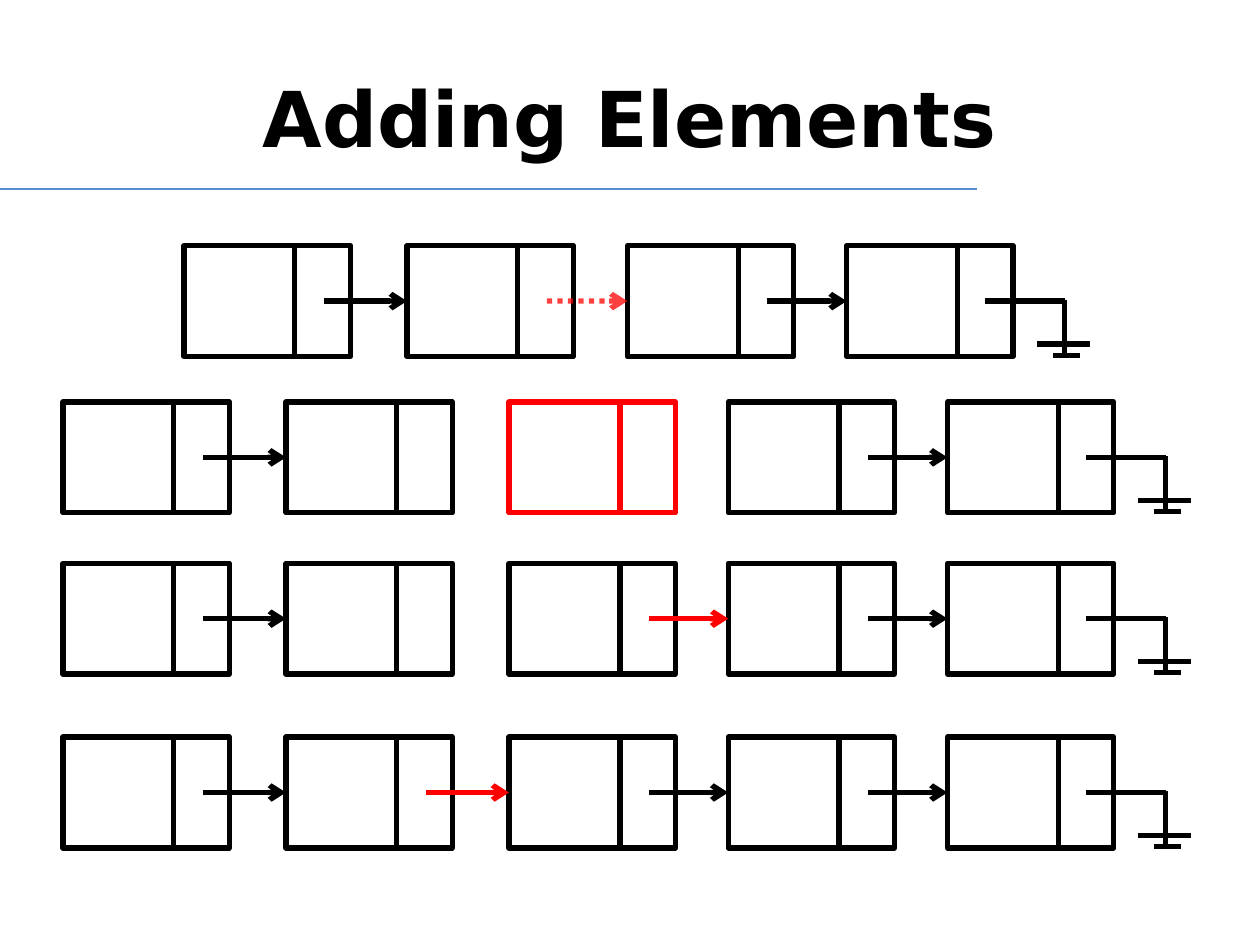
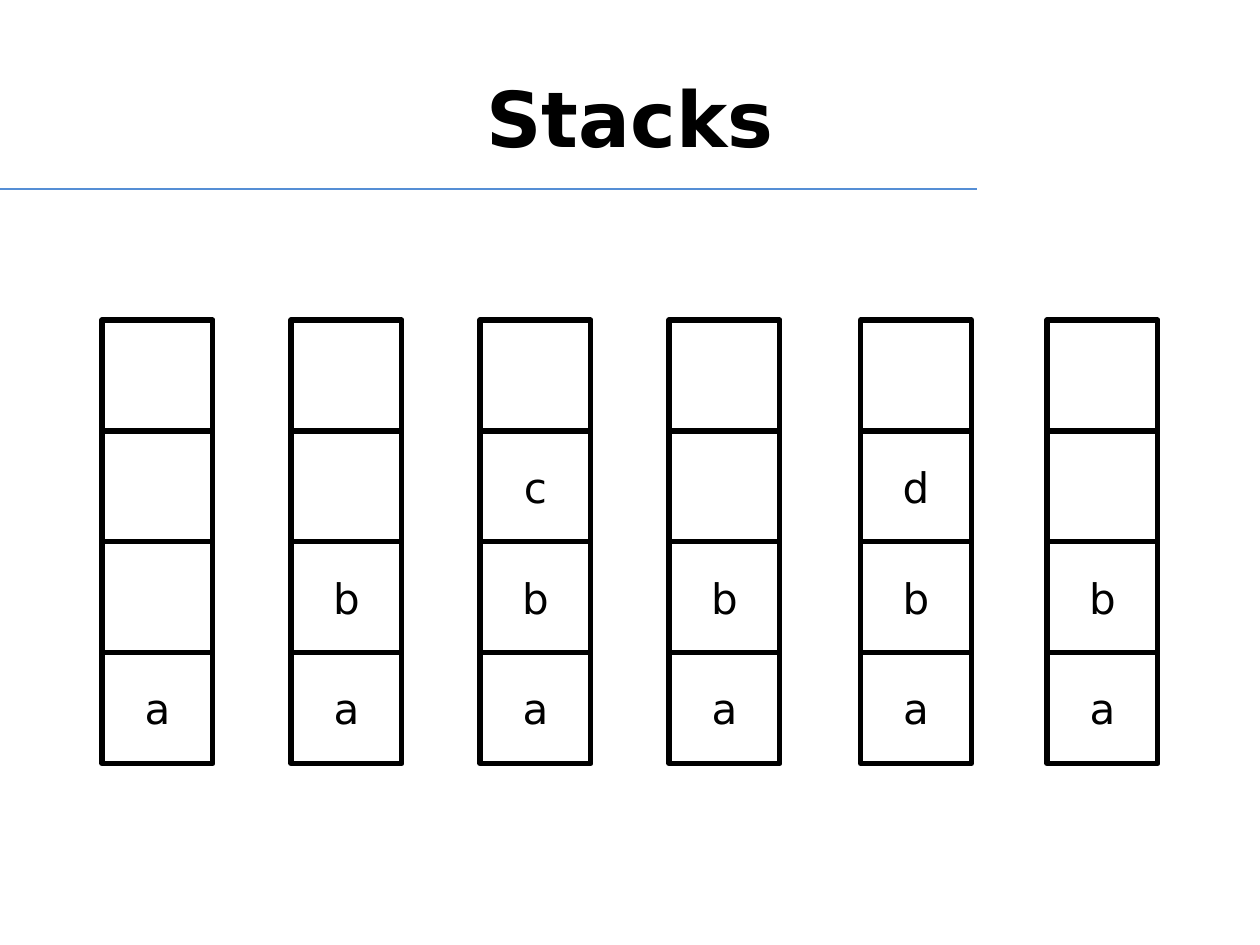
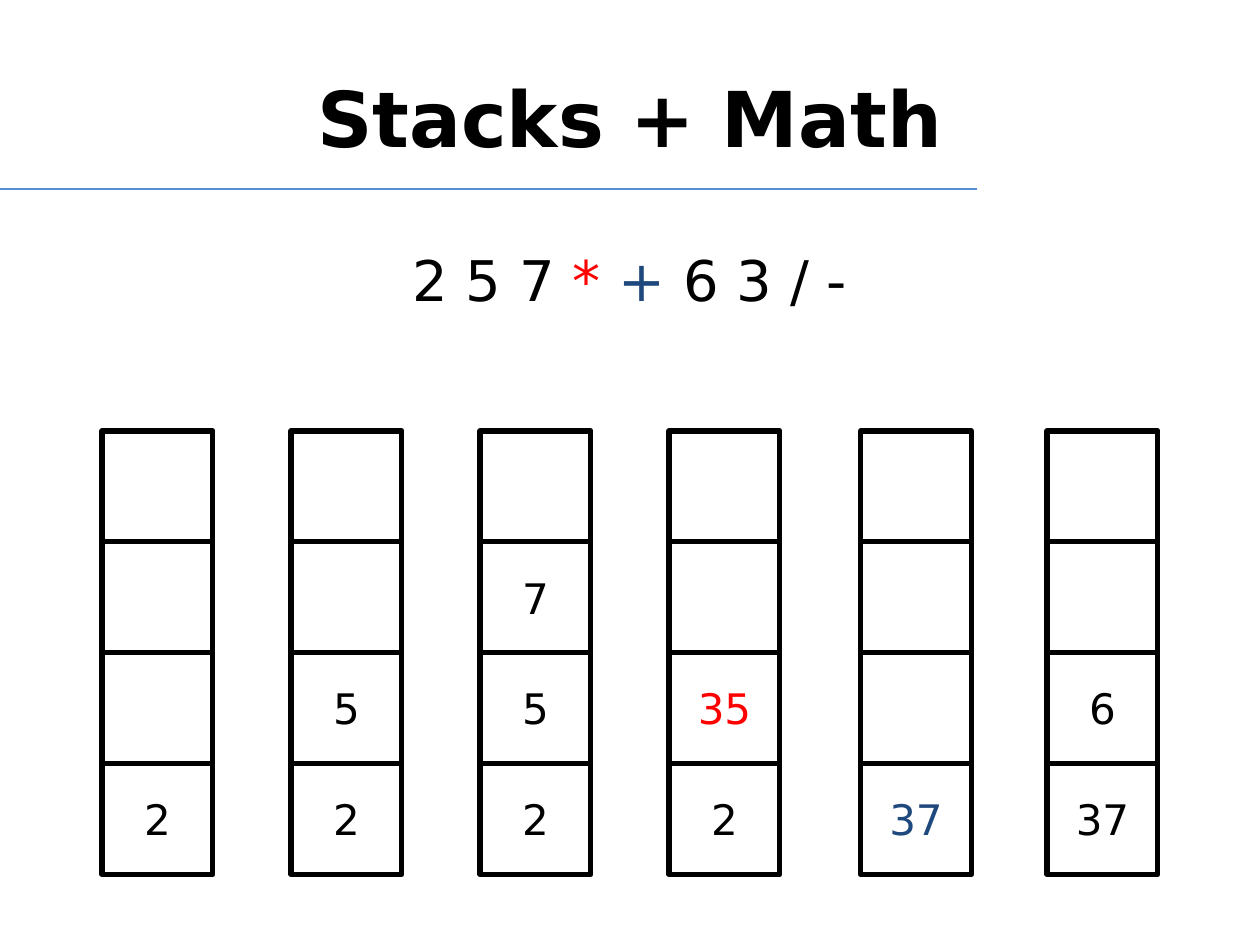
from pptx import Presentation
from pptx import util as u
from pptx.dml.color import RGBColor
from pptx.enum import dml, shapes, text
from pptx.oxml import ns
from lxml import etree

FONT = "DejaVu Sans"
BLACK, WHITE, RED, NAVY, RULE = "000000", "FFFFFF", "FF0000", "1F497D", "558ED5"
CELL, POINTER = 0.88, 0.44
MIDDLE = CELL / 2
ARROW_START = CELL + 0.23
STACK_LEFTS = [0.81, 2.31, 3.81, 5.31, 6.83, 8.31]
STACK_HEIGHT = 4
FOUR_NODES = [1.46, 3.23, 4.98, 6.72]
FIVE_NODES = [0.5, 2.27, 4.04, 5.78, 7.52]


def rgb(value):
    """Turn a hex string into a colour."""
    return RGBColor.from_string(value)


def add_child(parent, tag, **attrs):
    """Append a DrawingML element."""
    return etree.SubElement(parent, ns.qn(tag), attrs)


def write(tf, runs, size=24, bold=False, anchor=text.MSO_ANCHOR.MIDDLE):
    """Write (words, colour) runs as one centred paragraph."""
    tf.word_wrap = True
    tf.vertical_anchor = anchor
    p = tf.paragraphs[0]
    p.alignment = text.PP_ALIGN.CENTER
    for words, color in runs:
        r = p.add_run()
        r.text = words
        r.font.name = FONT
        r.font.size = u.Pt(size)
        r.font.bold = bold
        r.font.color.rgb = rgb(color)


def add_text(s, box, runs, **fmt):
    """Add a text box with formatted runs."""
    sp = s.shapes.add_textbox(*map(u.Inches, box))
    write(sp.text_frame, runs, **fmt)


def add_box(s, x, y, width=CELL, color=BLACK):
    """Add a white outlined rectangle."""
    sp = s.shapes.add_shape(shapes.MSO_SHAPE.RECTANGLE,
                            *map(u.Inches, (x, y, width, CELL)))
    sp.shadow.inherit = False
    sp.fill.solid()
    sp.fill.fore_color.rgb = rgb(WHITE)
    sp.line.color.rgb = rgb(color)
    sp.line.width = u.Pt(3)
    return sp


def add_line(s, start, end, color=BLACK, width=3, target=None, dotted=False):
    """Add a line, or an arrow joined to the left side of a target box."""
    ln = s.shapes.add_connector(shapes.MSO_CONNECTOR.STRAIGHT,
                                *map(u.Inches, (*start, *end)))
    ln.line.color.rgb = rgb(color)
    ln.line.width = u.Pt(width)
    props = ln.line._get_or_add_ln()
    if dotted:
        ln.line.dash_style = dml.MSO_LINE.ROUND_DOT
        add_child(props.find(".//" + ns.qn("a:srgbClr")), "a:alpha", val="75000")
    if target is not None:
        add_child(props, "a:tailEnd", type="arrow")
        ln.end_connect(target, 1)
    add_child(ln._element.spPr, "a:effectLst")


def add_ground(s, x, y):
    """Draw the end-of-list symbol for the node at x, y."""
    stem = x + 1.73
    add_line(s, (x + 1.1, y + MIDDLE), (stem, y + MIDDLE))
    add_line(s, (stem, y + MIDDLE - 0.01), (stem, y + CELL))
    add_line(s, (stem + 0.2, y + 0.78), (stem - 0.22, y + 0.78))
    add_line(s, (stem + 0.12, y + 0.87), (stem - 0.09, y + 0.87))


def add_linked_list(s, lefts, y, arrows, red_node=None):
    """Draw nodes, the arrows leaving them by index, and the ground."""
    data_cells = []
    for i, x in enumerate(lefts):
        color = RED if i == red_node else BLACK
        data_cells.append(add_box(s, x, y, color=color))
        add_box(s, x + CELL, y, POINTER, color)
    for i, fmt in arrows.items():
        add_line(s, (lefts[i] + ARROW_START, y + MIDDLE),
                 (lefts[i + 1], y + MIDDLE), target=data_cells[i + 1], **fmt)
    add_ground(s, lefts[-1], y)


def add_stacks(s, top, stacks, colors=None):
    """Draw a row of stacks, each listed from its bottom value up."""
    for col, (x, values) in enumerate(zip(STACK_LEFTS, stacks)):
        for level in range(STACK_HEIGHT):
            sp = add_box(s, x, top + (STACK_HEIGHT - 1 - level) * CELL)
            if level < len(values):
                color = (colors or {}).get((col, level), BLACK)
                write(sp.text_frame, [(values[level], color)])


def add_titled_slide(prs, title):
    """Add a blank slide with the shared title and rule."""
    s = prs.slides.add_slide(prs.slide_layouts[6])
    add_line(s, (0, 1.5), (7.75, 1.5), color=RULE, width=0.75)
    add_text(s, (0.5, 0.3, 9, 1.25), [(title, BLACK)], size=44, bold=True)
    return s


def main():
    """Build the three slides."""
    prs = Presentation()
    prs.slide_width, prs.slide_height = u.Inches(10), u.Inches(7.5)

    s = add_titled_slide(prs, "Adding Elements")
    plain, red = {}, {"color": RED}
    add_linked_list(s, FOUR_NODES, 1.95,
                    {0: plain, 1: {"color": RED, "dotted": True}, 2: plain})
    add_linked_list(s, FIVE_NODES, 3.19, {0: plain, 3: plain}, red_node=2)
    add_linked_list(s, FIVE_NODES, 4.47, {0: plain, 2: red, 3: plain})
    add_linked_list(s, FIVE_NODES, 5.85, {0: plain, 1: red, 2: plain, 3: plain})

    s = add_titled_slide(prs, "Stacks")
    add_stacks(s, 2.54, ["a", "ab", "abc", "ab", "abd", "ab"])

    s = add_titled_slide(prs, "Stacks + Math")
    add_stacks(s, 3.42,
               [["2"], ["2", "5"], ["2", "5", "7"], ["2", "35"], ["37"], ["37", "6"]],
               colors={(3, 1): RED, (4, 0): NAVY})
    add_text(s, (0.81, 1.9, 8.38, 0.64),
             [("2 5 7 ", BLACK), ("* ", RED), ("+", NAVY), (" 6 3 / -", BLACK)],
             size=32, anchor=text.MSO_ANCHOR.TOP)

    prs.save("out.pptx")


if __name__ == "__main__":
    main()
